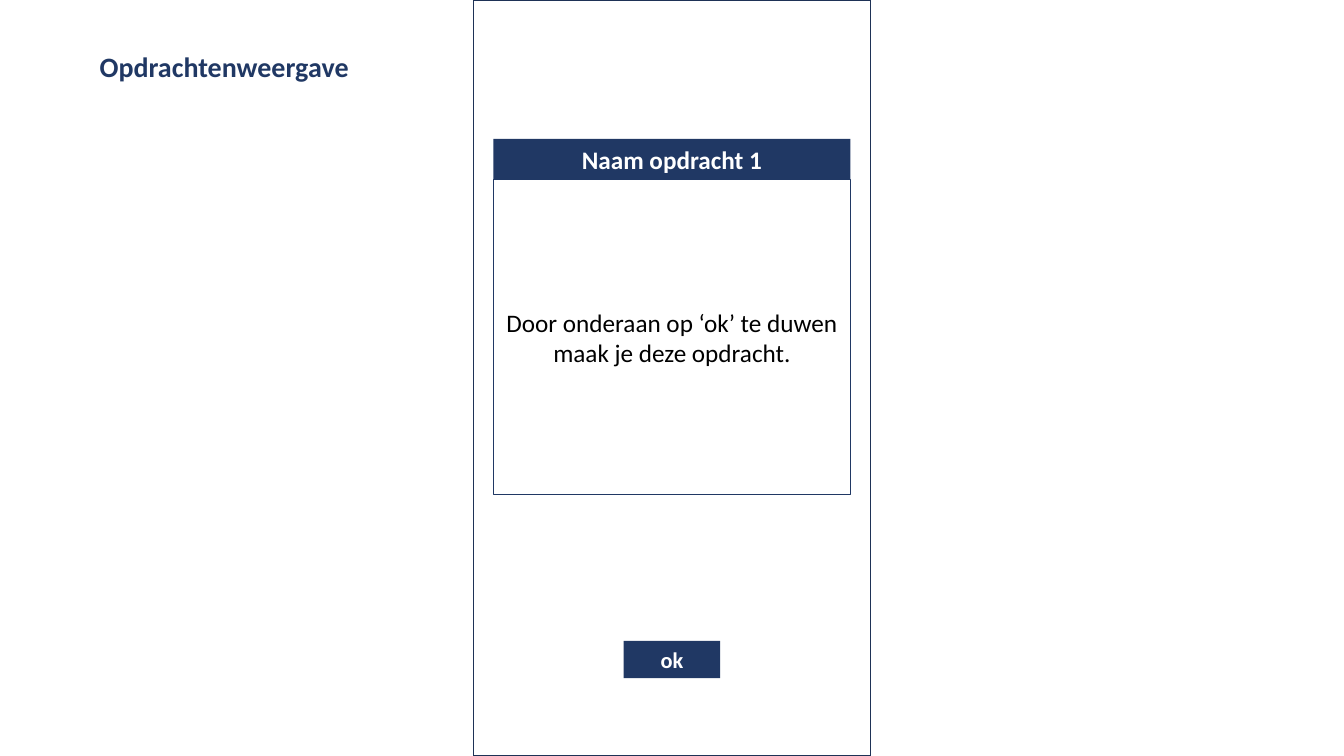
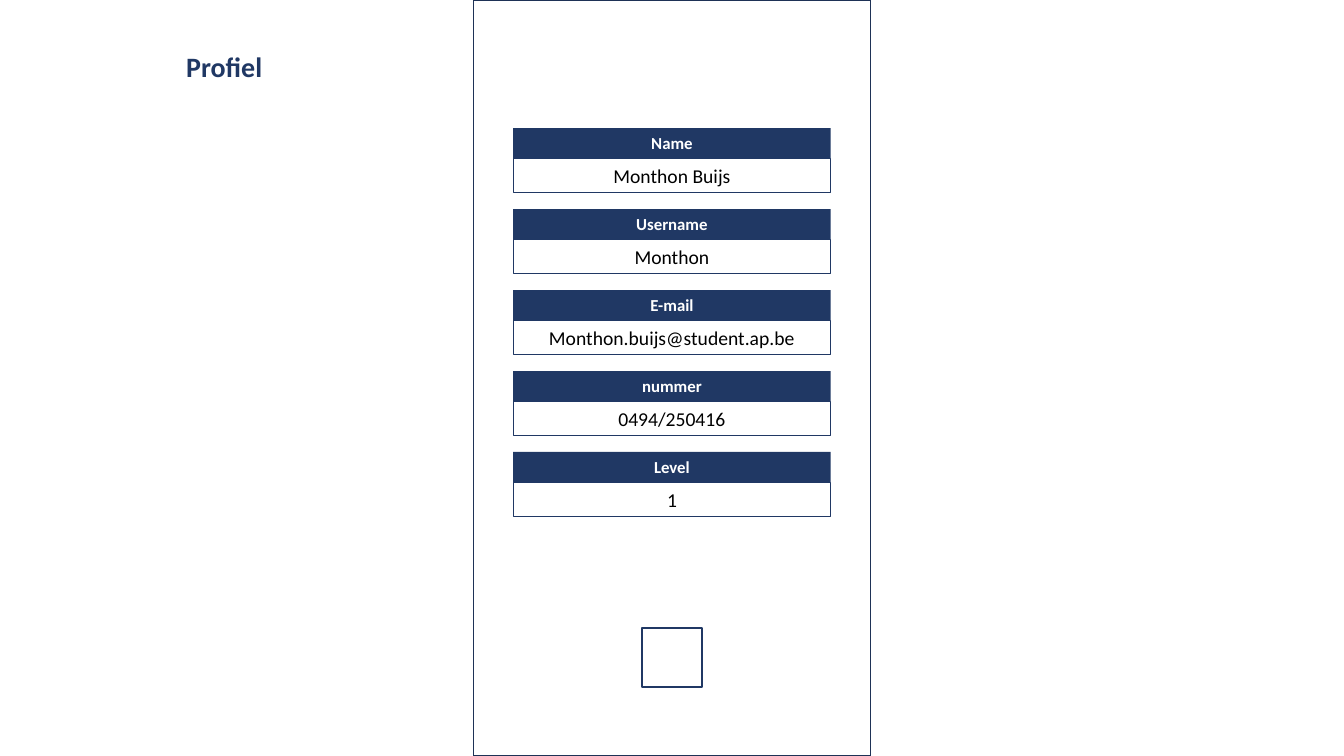
import pptx
import pptx.util
import pptx.dml.color
import pptx.enum.shapes
import pptx.enum.text

Cm, Pt = pptx.util.Cm, pptx.util.Pt
RGBColor = pptx.dml.color.RGBColor

# Content
TASK_TITLE = "Opdrachtenweergave"
TASK_NAME = "Naam opdracht 1"
TASK_TEXT = "Door onderaan op ‘ok’ te duwen maak je deze opdracht."
TASK_BUTTON = "ok"
PROFILE_TITLE = "Profiel"
PROFILE_FIELDS = [
    ("Name", "Monthon Buijs"),
    ("Username", "Monthon"),
    ("E-mail", "Monthon.buijs@student.ap.be"),
    ("nummer", "0494/250416"),
    ("Level", "1"),
]

# Shared style, lengths in centimetres
NAVY = RGBColor(0x20, 0x38, 0x64)
FRAME = RGBColor(0x1E, 0x32, 0x56)
WHITE = RGBColor(0xFF, 0xFF, 0xFF)
BLACK = RGBColor(0, 0, 0)
FONT = "Calibri"
SLIDE_W, SLIDE_H = 33.87, 19.05
FIELD_TOP, FIELD_PITCH = 3.23, 2.04


def write(shape, text, size, color, bold):
    tf = shape.text_frame
    tf.word_wrap = True
    tf.auto_size = pptx.enum.text.MSO_AUTO_SIZE.NONE
    tf.vertical_anchor = pptx.enum.text.MSO_ANCHOR.MIDDLE
    tf.margin_top = tf.margin_bottom = 0
    p = tf.paragraphs[0]
    p.text = text
    p.alignment = pptx.enum.text.PP_ALIGN.CENTER
    p.font.name, p.font.size, p.font.bold = FONT, Pt(size), bold
    p.font.color.rgb = color


def add_box(s, top, width, height, fill=None, line=None, weight=0.75):
    """Rectangle centred across the slide."""
    box = s.shapes.add_shape(
        pptx.enum.shapes.MSO_SHAPE.RECTANGLE,
        Cm((SLIDE_W - width) / 2), Cm(top), Cm(width), Cm(height))
    box.shadow.inherit = False
    if fill is None:
        box.fill.background()
    else:
        box.fill.solid()
        box.fill.fore_color.rgb = fill
    if line is None:
        box.line.fill.background()
    else:
        box.line.color.rgb = line
        box.line.width = Pt(weight)
    return box


def add_band(s, text, size, top, width, height):
    write(add_box(s, top, width, height, fill=NAVY), text, size, WHITE, True)


def add_card(s, head, body, sizes, top, width, heights):
    """Navy heading band with an outlined text box below it."""
    add_band(s, head, sizes[0], top, width, heights[0])
    box = add_box(s, top + heights[0], width, heights[1], line=NAVY)
    write(box, body, sizes[1], BLACK, False)


def add_screen(prs, title):
    """Slide with a title at the left and a phone frame in the middle."""
    s = prs.slides.add_slide(prs.slide_layouts[5])
    t = s.shapes.title
    t.left, t.top, t.width, t.height = Cm(1.4), Cm(1.12), Cm(8.5), Cm(1.12)
    write(t, title, 20, NAVY, True)
    add_box(s, 0, 10, SLIDE_H, line=FRAME, weight=1)
    return s


def main():
    prs = pptx.Presentation()
    prs.slide_width, prs.slide_height = Cm(SLIDE_W), Cm(SLIDE_H)

    # Task screen
    s = add_screen(prs, TASK_TITLE)
    add_card(s, TASK_NAME, TASK_TEXT, (18, 18), 3.5, 9, (1.02, 7.95))
    add_band(s, TASK_BUTTON, 16, 16.15, 2.43, 0.94)

    # Profile screen
    s = add_screen(prs, PROFILE_TITLE)
    for i, (label, value) in enumerate(PROFILE_FIELDS):
        add_card(s, label, value, (12, 14),
                 FIELD_TOP + i * FIELD_PITCH, 8, (0.76, 0.86))
    add_box(s, 15.82, 1.5, 1.5, line=NAVY, weight=1.5)

    prs.save("out.pptx")


if __name__ == "__main__":
    main()
